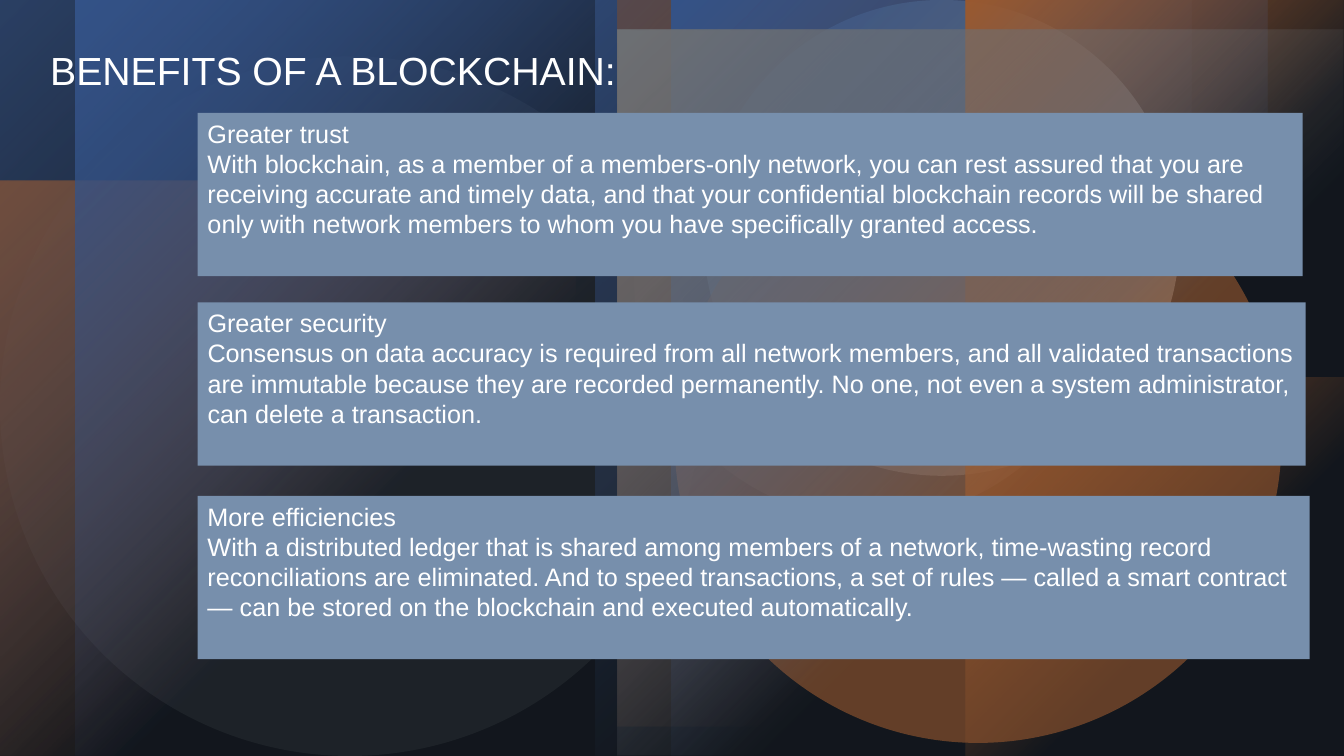
from dataclasses import dataclass

from pptx import Presentation
from pptx.dml.color import RGBColor
from pptx.enum.shapes import MSO_SHAPE as Shape
from pptx.enum.text import MSO_ANCHOR as Anchor, PP_ALIGN as Align
from pptx.oxml import parse_xml
from pptx.oxml.ns import nsdecls, qn
from pptx.util import Inches, Pt


@dataclass(frozen=True)
class Theme:
    font: str = "Arial"
    title_size: int = 28
    body_size: int = 18
    text: str = "FFFFFF"
    backdrop: str = "000000"
    panel: str = "778FAC"
    blue: str = "4472C4"
    orange: str = "ED7D31"
    gray: str = "A3A3A3"
    veil: str = "1D242E"


theme = Theme()
deck = Presentation()
deck.slide_width, deck.slide_height = Inches(13.33), Inches(7.5)
page = deck.slides.add_slide(deck.slide_layouts[6])
page.background.fill.solid()
page.background.fill.fore_color.rgb = RGBColor.from_string(theme.backdrop)


def add_layer(kind, bounds, color, opacity=100, fades=False):
    """Add a borderless shape; a fading one clears away from its top left corner."""
    layer = page.shapes.add_shape(kind, *map(Inches, bounds))
    layer.shadow.inherit = False
    layer.line.fill.background()
    layer.fill.background()
    stops = [(0, opacity), (60, 0), (100, 0)] if fades else [(0, opacity)]
    colors = [
        f'<a:srgbClr val="{color}"><a:alpha val="{alpha * 1000}"/></a:srgbClr>'
        for _, alpha in stops
    ]
    if fades:
        steps = "".join(
            f'<a:gs pos="{place * 1000}">{stop_color}</a:gs>'
            for (place, _), stop_color in zip(stops, colors)
        )
        fill = (
            f'<a:gradFill {nsdecls("a")}><a:gsLst>{steps}</a:gsLst>'
            '<a:path path="circle"><a:fillToRect r="100000" b="100000"/></a:path>'
            "</a:gradFill>"
        )
    else:
        fill = f'<a:solidFill {nsdecls("a")}>{colors[0]}</a:solidFill>'
    properties = layer.element.spPr
    properties.replace(properties.find(qn("a:noFill")), parse_xml(fill))
    return layer


def write_paragraphs(shape, lines, size):
    frame = shape.text_frame
    frame.word_wrap = True
    frame.vertical_anchor = Anchor.TOP
    for index, line in enumerate(lines):
        para = frame.add_paragraph() if index else frame.paragraphs[0]
        para.alignment = Align.LEFT
        span = para.add_run()
        span.text = line
        span.font.name = theme.font
        span.font.size = Pt(size)
        span.font.color.rgb = RGBColor.from_string(theme.text)


# Background, from back to front
veil = (Shape.RECTANGLE, (0, 0, 13.33, 7.5), theme.veil, 40)
layers = [
    (Shape.RECTANGLE, (0, 1.8, 5.71, 5.7), theme.orange, 60, True),
    (Shape.OVAL, (6.29, 0.43, 4.72, 4.72), theme.gray, 60),
    (Shape.OVAL, (0, 0.56, 6.94, 6.94), theme.gray, 20),
    (Shape.RECTANGLE, (0, 0, 5.91, 7.5), theme.blue, 100, True),
    (Shape.RECTANGLE, (5.91, 0, 5.91, 7.5), theme.blue, 100, True),
    (Shape.RECTANGLE, (6.13, 0, 7.2, 7.21), theme.orange, 100, True),
    veil,
    (Shape.RECTANGLE, (0, 1.79, 5.71, 5.71), theme.orange, 60, True),
    (Shape.OVAL, (6.98, 0, 4.72, 4.72), theme.gray, 95),
    (Shape.OVAL, (6.69, 1.35, 6.02, 6.02), theme.orange, 60),
    (Shape.RECTANGLE, (6.66, 0, 5.91, 7.5), theme.blue, 100, True),
    (Shape.RECTANGLE, (0.75, 0, 5.91, 7.5), theme.blue, 100, True),
    (Shape.RECTANGLE, (9.58, 3.75, 3.75, 3.75), theme.orange, 100, True),
    (Shape.RECTANGLE, (9.58, 0, 3.75, 3.75), theme.orange, 100, True),
    (Shape.RECTANGLE, (6.13, 0.29, 7.2, 7.21), theme.gray, 100, True),
    veil,
]
for layer_settings in layers:
    add_layer(*layer_settings)

# Title
title = page.shapes.add_textbox(Inches(0.4), Inches(0.41), Inches(6.27), Inches(0.57))
write_paragraphs(title, ["BENEFITS OF A BLOCKCHAIN:"], theme.title_size)

# Benefit panels: top, width, heading, description
benefits = [
    (
        1.12, 10.96, "Greater trust",
        "With blockchain, as a member of a members-only network, you can rest "
        "assured that you are receiving accurate and timely data, and that your "
        "confidential blockchain records will be shared only with network members "
        "to whom you have specifically granted access.",
    ),
    (
        3, 10.99, "Greater security",
        "Consensus on data accuracy is required from all network members, and all "
        "validated transactions are immutable because they are recorded "
        "permanently. No one, not even a system administrator, can delete a "
        "transaction.",
    ),
    (
        4.92, 11.03, "More efficiencies",
        "With a distributed ledger that is shared among members of a network, "
        "time-wasting record reconciliations are eliminated. And to speed "
        "transactions, a set of rules — called a smart contract — can be stored on "
        "the blockchain and executed automatically.",
    ),
]
for top, width, heading, description in benefits:
    panel = add_layer(Shape.RECTANGLE, (1.96, top, width, 1.62), theme.panel)
    write_paragraphs(panel, [heading, description], theme.body_size)

deck.save("out.pptx")
